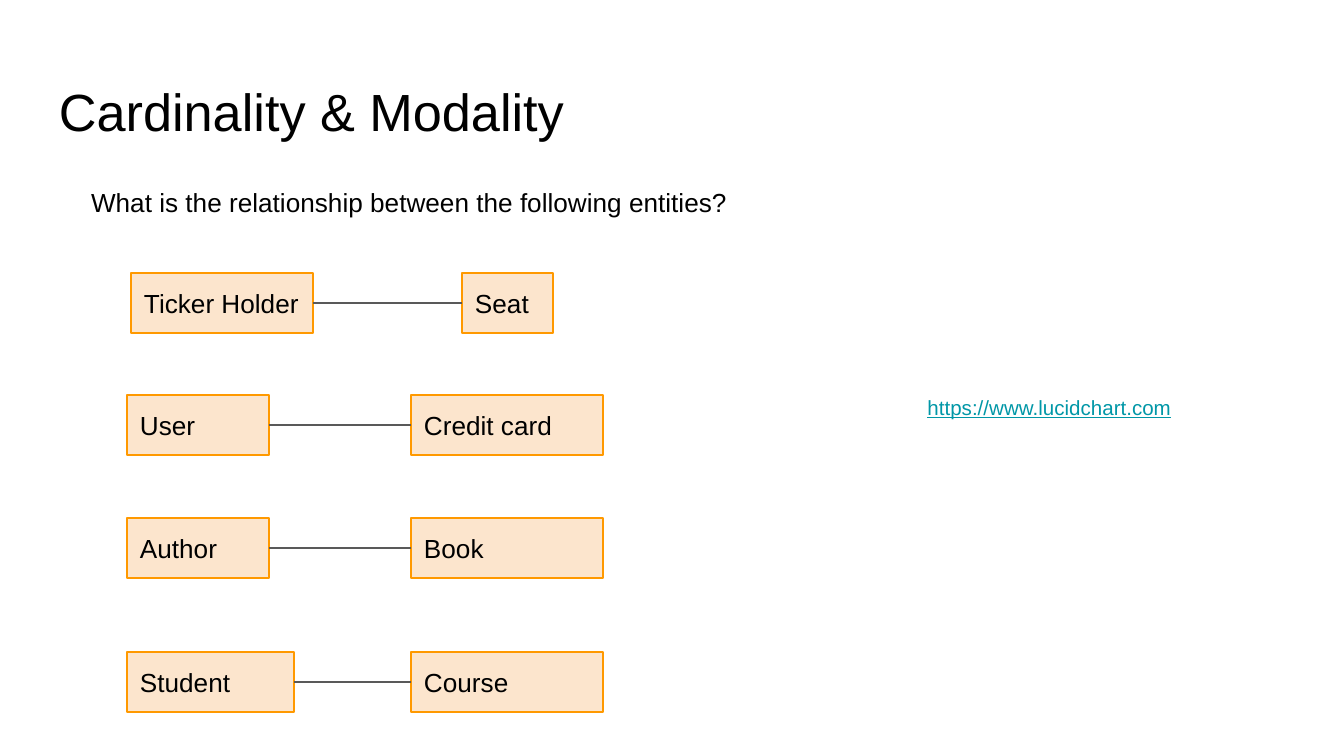
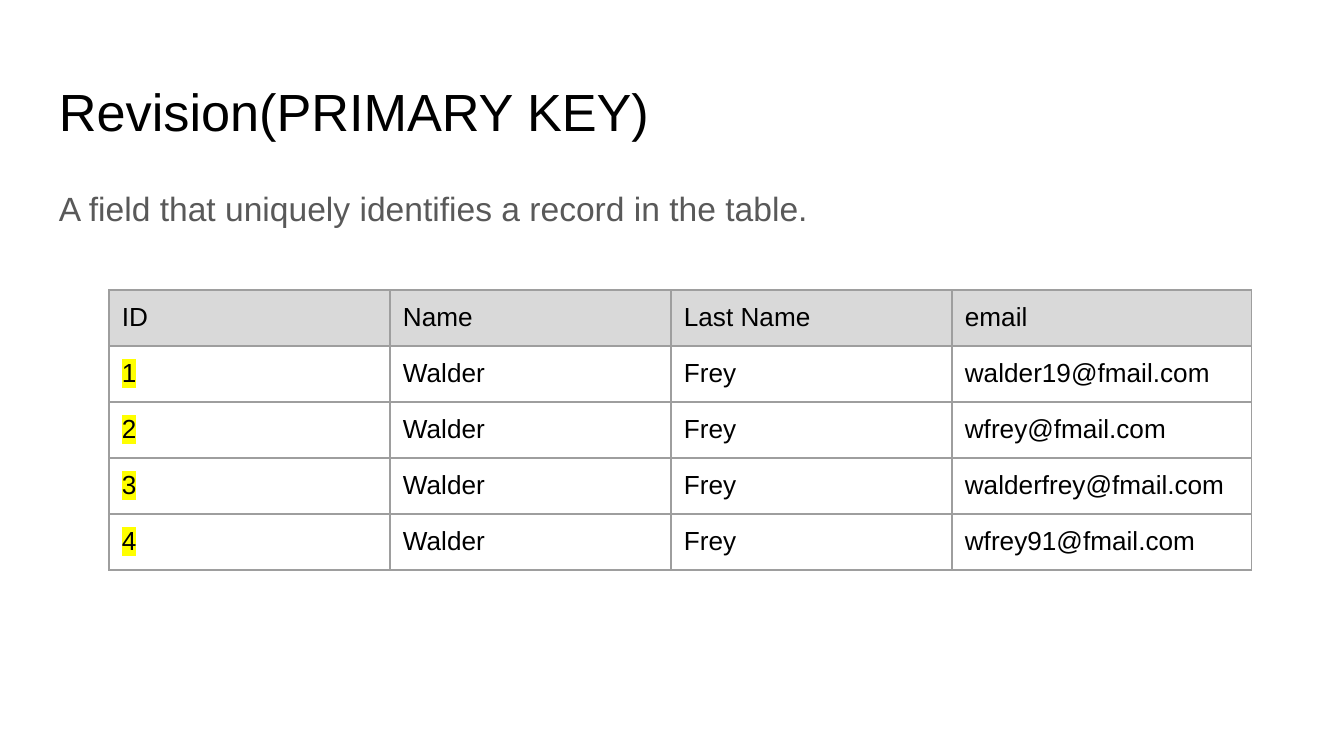
from lxml.etree import SubElement
from pptx import Presentation
from pptx.dml.color import RGBColor
from pptx.enum.shapes import MSO_CONNECTOR, MSO_SHAPE
from pptx.enum.text import MSO_ANCHOR, MSO_AUTO_SIZE, PP_ALIGN
from pptx.oxml import parse_xml
from pptx.oxml.ns import nsdecls, qn
from pptx.util import Pt

SLIDE_WIDTH, SLIDE_HEIGHT = 1344, 756
EMU_PER_PX = 9144000 / SLIDE_WIDTH
TITLE_ONLY = 5

FONT = "Arial"
BLACK = RGBColor(0x00, 0x00, 0x00)
GREY = RGBColor(0x59, 0x59, 0x59)
TEAL = RGBColor(0x00, 0x97, 0xA7)
PEACH = RGBColor(0xFC, 0xE5, 0xCD)
ORANGE = RGBColor(0xFF, 0x99, 0x00)
HEADER_GREY = RGBColor(0xD9, 0xD9, 0xD9)
BORDER_GREY = RGBColor(0x9E, 0x9E, 0x9E)
YELLOW = RGBColor(0xFF, 0xFF, 0x00)

LINE_WIDTH = Pt(0.75)
INSET = 13
ENTITY_HEIGHT = 60
ROW_HEIGHT = 56

# Each row: top, then (name, left, width) of both entities
RELATIONSHIPS = [
    (273, ("Ticker Holder", 131, 182), ("Seat", 462, 91)),
    (395, ("User", 127, 142), ("Credit card", 411, 192)),
    (518, ("Author", 127, 142), ("Book", 411, 192)),
    (652, ("Student", 127, 167), ("Course", 411, 192)),
]
RECORDS = [
    ("ID", "Name", "Last Name", "email"),
    ("1", "Walder", "Frey", "walder19@fmail.com"),
    ("2", "Walder", "Frey", "wfrey@fmail.com"),
    ("3", "Walder", "Frey", "walderfrey@fmail.com"),
    ("4", "Walder", "Frey", "wfrey91@fmail.com"),
]
COLUMN_WIDTHS = (281, 281, 281, 300)


def px(length):
    return round(length * EMU_PER_PX)


def set_attributes(target, values):
    for name, value in values.items():
        setattr(target, name, value)


def write_text(text_frame, text, size, color=BLACK, underline=None, **paragraph_format):
    paragraph = text_frame.paragraphs[0]
    set_attributes(paragraph, {"alignment": PP_ALIGN.LEFT, **paragraph_format})
    run = paragraph.add_run()
    run.text = text
    run.font.color.rgb = color
    set_attributes(run.font, {"name": FONT, "size": Pt(size), "underline": underline})
    return run


def set_frame(text_frame, anchor):
    margins = {f"margin_{side}": px(INSET) for side in ("left", "right", "top", "bottom")}
    set_attributes(text_frame, {**margins, "word_wrap": True, "vertical_anchor": anchor,
                                "auto_size": MSO_AUTO_SIZE.NONE})


def add_titled_slide(presentation, title_text):
    slide = presentation.slides.add_slide(presentation.slide_layouts[TITLE_ONLY])
    title = slide.shapes.title
    set_attributes(title, {"left": px(46), "top": px(66), "width": px(1252), "height": px(84)})
    set_frame(title.text_frame, MSO_ANCHOR.TOP)
    write_text(title.text_frame, title_text, 28)
    return slide


def add_text(slide, box, text, size, **text_format):
    shape = slide.shapes.add_textbox(*map(px, box))
    set_frame(shape.text_frame, MSO_ANCHOR.TOP)
    write_text(shape.text_frame, text, size, **text_format)


def add_entity(slide, name, left, top, width):
    shape = slide.shapes.add_shape(
        MSO_SHAPE.RECTANGLE, px(left), px(top), px(width), px(ENTITY_HEIGHT))
    shape.shadow.inherit = False
    shape.fill.solid()
    shape.fill.fore_color.rgb = PEACH
    shape.line.color.rgb = ORANGE
    shape.line.width = LINE_WIDTH
    set_frame(shape.text_frame, MSO_ANCHOR.MIDDLE)
    write_text(shape.text_frame, name, 14)
    return shape


def add_relationship(slide, top, first, second):
    start, end = (add_entity(slide, name, left, top, width)
                  for name, left, width in (first, second))
    connector = slide.shapes.add_connector(MSO_CONNECTOR.ELBOW, 0, 0, 0, 0)
    connector.begin_connect(start, 3)
    connector.end_connect(end, 1)
    connector.line.color.rgb = GREY
    connector.line.width = LINE_WIDTH
    SubElement(connector._element.spPr, qn("a:effectLst"))


def add_borders(cell):
    properties = cell._tc.get_or_add_tcPr()
    for side in "LRTB":
        properties.append(parse_xml(
            f'<a:ln{side} {nsdecls("a")} w="{LINE_WIDTH}"><a:solidFill>'
            f'<a:srgbClr val="{BORDER_GREY}"/></a:solidFill></a:ln{side}>'))


def highlight(run):
    fill = run._r.get_or_add_rPr().find(qn("a:solidFill"))
    fill.addnext(parse_xml(
        f'<a:highlight {nsdecls("a")}><a:srgbClr val="{YELLOW}"/></a:highlight>'))


def add_record_table(slide, left, top):
    frame = slide.shapes.add_table(
        len(RECORDS), len(COLUMN_WIDTHS), px(left), px(top),
        px(sum(COLUMN_WIDTHS)), px(ROW_HEIGHT * len(RECORDS)))
    table = frame.table
    set_attributes(table, {"first_row": False, "horz_banding": False})
    for column, width in zip(table.columns, COLUMN_WIDTHS):
        column.width = px(width)
    for row_index, record in enumerate(RECORDS):
        table.rows[row_index].height = px(ROW_HEIGHT)
        for column_index, text in enumerate(record):
            cell = table.cell(row_index, column_index)
            set_attributes(cell, {f"margin_{side}": px(INSET)
                                  for side in ("left", "right", "top", "bottom")})
            add_borders(cell)
            run = write_text(cell.text_frame, text, 14)
            if row_index == 0:
                cell.fill.solid()
                cell.fill.fore_color.rgb = HEADER_GREY
            else:
                cell.fill.background()
                if column_index == 0:
                    highlight(run)


def main():
    presentation = Presentation()
    presentation.slide_width = px(SLIDE_WIDTH)
    presentation.slide_height = px(SLIDE_HEIGHT)

    # Entity pairs
    slide = add_titled_slide(presentation, "Cardinality & Modality")
    add_text(slide, (78, 173, 1000, 67),
             "What is the relationship between the following entities?", 14)
    for top, first, second in RELATIONSHIPS:
        add_relationship(slide, top, first, second)
    add_text(slide, (829, 378, 441, 378), "https://www.lucidchart.com", 11,
             color=TEAL, underline=True, alignment=PP_ALIGN.CENTER,
             line_spacing=1.15, space_after=Pt(16))

    # Primary key table
    slide = add_titled_slide(presentation, "Revision(PRIMARY KEY)")
    add_record_table(slide, 109, 290)
    add_text(slide, (46, 169, 1252, 99),
             "A field that uniquely identifies a record in the table.", 18,
             color=GREY, line_spacing=1.15, space_after=Pt(16))

    presentation.save("out.pptx")


if __name__ == "__main__":
    main()
